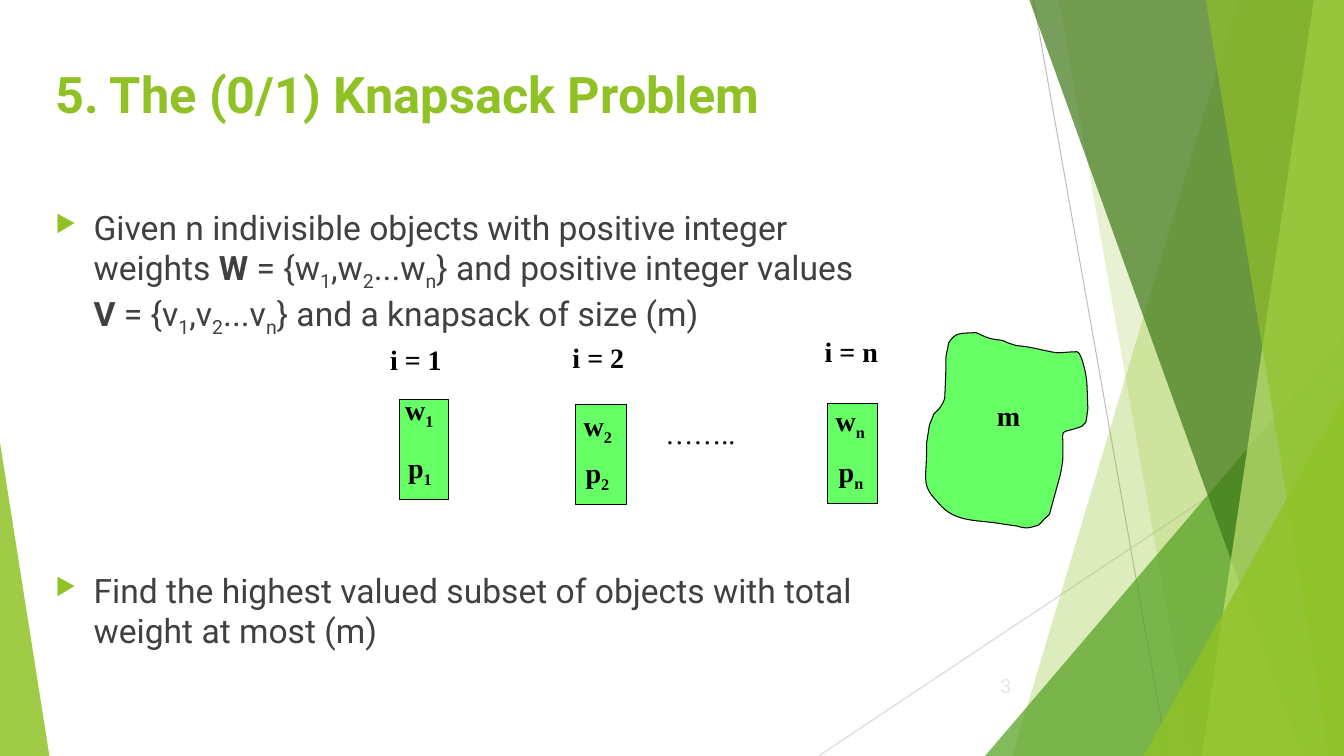
from lxml import etree
from pptx import Presentation
from pptx.dml.color import RGBColor
from pptx.enum import shapes as kinds, text as styles
from pptx.oxml import ns
from pptx.util import Inches, Pt

LIME = RGBColor(0x90, 0xC2, 0x26)
GREEN = RGBColor(0x54, 0xA0, 0x21)
DARK_GREEN = RGBColor(0x3F, 0x78, 0x19)
PALE_LIME = RGBColor(0xC0, 0xE4, 0x74)
ITEM_GREEN = RGBColor(0x66, 0xFF, 0x66)
BODY_GREY = RGBColor(0x40, 0x40, 0x40)
LINE_GREY = RGBColor(0xBF, 0xBF, 0xBF)
PALE_GREY = RGBColor(0xD9, 0xD9, 0xD9)
NUMBER_GREY = RGBColor(0xE7, 0xE7, 0xE7)
BLACK = RGBColor(0, 0, 0)
WIDTH, HEIGHT = 13.33, 7.5

SACK_START = (1.36, 0.21)
SACK_CURVES = [
    (1.23, 0.19, 1.11, 0.15, 0.97, 0.14), (0.92, 0.13, 0.87, 0.11, 0.83, 0.09),
    (0.79, 0.08, 0.75, 0.08, 0.71, 0.07), (0.66, 0.06, 0.61, 0.03, 0.56, 0.01),
    (0.41, 0.02, 0.36, 0, 0.29, 0.11), (0.24, 0.38, 0.28, 0.05, 0.25, 0.66),
    (0.24, 0.7, 0.22, 0.73, 0.2, 0.76), (0.18, 0.78, 0.14, 0.82, 0.14, 0.82),
    (0.13, 0.85, 0.12, 0.88, 0.1, 0.92), (0.09, 0.98, 0.08, 1.05, 0.07, 1.11),
    (0.08, 1.45, 0, 1.51, 0.18, 1.69), (0.24, 1.76, 0.27, 1.79, 0.36, 1.83),
    (0.48, 1.88, 0.63, 1.88, 0.77, 1.9), (0.83, 1.91, 0.97, 1.93, 0.97, 1.93),
    (1.04, 1.95, 1.06, 1.96, 1.18, 1.92), (1.21, 1.9, 1.23, 1.86, 1.26, 1.84),
    (1.27, 1.83, 1.29, 1.81, 1.29, 1.81), (1.32, 1.7, 1.35, 1.59, 1.38, 1.48),
    (1.4, 1.42, 1.41, 1.35, 1.42, 1.29), (1.44, 0.9, 1.35, 1.04, 1.61, 0.94),
    (1.62, 0.93, 1.64, 0.91, 1.65, 0.9), (1.66, 0.85, 1.67, 0.76, 1.67, 0.76),
    (1.66, 0.59, 1.67, 0.51, 1.64, 0.38), (1.63, 0.35, 1.6, 0.2, 1.56, 0.2),
    (1.49, 0.2, 1.43, 0.21, 1.36, 0.21),
]


def paint(shape, fill, opacity=100, outlined=False):
    shape.shadow.inherit = False
    shape.fill.solid()
    shape.fill.fore_color.rgb = fill
    if opacity < 100:
        color = shape._element.spPr.find(".//" + ns.qn("a:srgbClr"))
        etree.SubElement(color, ns.qn("a:alpha"), val=str(opacity * 1000))
    if outlined:
        shape.line.color.rgb = BLACK
        shape.line.width = Pt(0.75)
    else:
        shape.line.fill.background()


def add_outline(slide, points):
    corners = [(Inches(x), Inches(y)) for x, y in points]
    builder = slide.shapes.build_freeform(*corners[0])
    builder.add_line_segments(corners[1:], close=True)
    return builder.convert_to_shape()


def add_bullet(paragraph, color):
    props = paragraph._p.get_or_add_pPr()
    props.set("marL", str(Inches(0.38)))
    props.set("indent", str(-Inches(0.38)))
    bullet_color = etree.SubElement(props, ns.qn("a:buClr"))
    etree.SubElement(bullet_color, ns.qn("a:srgbClr"), val=str(color))
    etree.SubElement(props, ns.qn("a:buSzPct"), val="70000")
    etree.SubElement(props, ns.qn("a:buChar"), char="▶")


def add_text(slide, box, *paragraphs, size=20, font="Times New Roman", color=BLACK,
             bold=True, wrap=False, bullet=None, gaps=(0,), align=None):
    frame = slide.shapes.add_textbox(*map(Inches, box)).text_frame
    frame.word_wrap = wrap
    if not wrap:
        frame.auto_size = styles.MSO_AUTO_SIZE.SHAPE_TO_FIT_TEXT
    for index, content in enumerate(paragraphs):
        paragraph = frame.add_paragraph() if index else frame.paragraphs[0]
        paragraph.alignment = align
        paragraph.space_before = Pt(gaps[index])
        if bullet is not None:
            add_bullet(paragraph, bullet)
        for piece in content.split("|"):
            run = paragraph.add_run()
            run.text = piece.lstrip("_*")
            run.font.size = Pt(size)
            run.font.name = font
            run.font.color.rgb = color
            run.font.bold = bold or piece.startswith("*")
            if piece.startswith("_"):
                run._r.get_or_add_rPr().set("baseline", "-25000")


def add_backdrop(slide, box):
    left, top, width, height = box
    right, bottom = left + width, top + height

    def ray(start, end, color):
        line = slide.shapes.add_connector(
            kinds.MSO_CONNECTOR.STRAIGHT, *map(Inches, start + end))
        line.line.color.rgb = color
        line.line.width = Pt(0.75)
        etree.SubElement(line._element.spPr, ns.qn("a:effectLst"))

    def facet(upper, lower, color, opacity):
        points = [(left + upper, top), (right, top), (right, bottom), (left + lower, bottom)]
        paint(add_outline(slide, points), color, opacity)

    def wedge(x, y, across, lean, color, opacity):
        shape = slide.shapes.add_shape(
            kinds.MSO_SHAPE.ISOSCELES_TRIANGLE,
            *map(Inches, (x, y, across, bottom - y)))
        shape.adjustments[0] = lean
        paint(shape, color, opacity)

    ray((left + 10.25, top), (left + 11.58, bottom), LINE_GREY)
    ray((right, top + 4.03), (left + 8.12, bottom), PALE_GREY)
    facet(12.28, 10.04, LIME, 30)
    facet(10.5, 11.83, LIME, 20)
    wedge(right - 3.56, top + 3.33, 3.56, 1, GREEN, 72)
    facet(10.21, 12.91, DARK_GREEN, 70)
    facet(13.03, 11.92, PALE_LIME, 70)
    facet(11.96, 13.18, LIME, 65)
    wedge(right - 1.99, top + 3.93, 1.99, 1, LIME, 80)
    wedge(left, top + 4.39, 0.49, 0, LIME, 85)


def add_item(slide, box, index, caption, weight, profit):
    left, top, width, height = box
    rectangle = slide.shapes.add_shape(kinds.MSO_SHAPE.RECTANGLE, *map(Inches, box))
    paint(rectangle, ITEM_GREEN, outlined=True)
    labels = [(f"i = {index}", caption, 0.76), (f"w|_{index}", weight, 0.52),
              (f"p|_{index}", profit, 0.47)]
    for label, (dx, dy), across in labels:
        add_text(slide, (left + dx, top + dy, across, 0.44), label)


def add_knapsack(slide, box):
    left, top, width, height = box
    points = [SACK_START]
    for curve in SACK_CURVES:
        points += zip(curve[::2], curve[1::2])
    sack = add_outline(slide, [(left + x, top + y) for x, y in points])
    lines = list(sack._element.iter(ns.qn("a:lnTo")))
    for first in range(0, 3 * len(SACK_CURVES), 3):
        bend = etree.Element(ns.qn("a:cubicBezTo"))
        lines[first].addprevious(bend)
        for line in lines[first:first + 3]:
            bend.append(line[0])
            line.getparent().remove(line)
    paint(sack, ITEM_GREEN, outlined=True)
    add_text(slide, (left + 0.67, top + 0.61, 0.43, 0.43), "m")


def add_problem(slide, box):
    left, top, width, height = box
    add_text(slide, (left, top, width, 1.25), "5. The (0/1) Knapsack Problem",
             size=36, font="Roboto", color=LIME, wrap=True)
    add_text(slide, (left, top + 1.42, width, 4.5),
             "Given n indivisible objects with positive integer weights |*W| = {w|_1|,w|_2|...w|_n|} "
             "and positive integer values |*V| = {v|_1|,v|_2|...v|_n|} and a knapsack of size (m)",
             "Find the highest valued subset of objects with total weight at most (m)",
             size=24, font="Roboto", color=BODY_GREY, bold=False, wrap=True,
             bullet=LIME, gaps=(10, 165))


def main():
    deck = Presentation()
    deck.slide_width, deck.slide_height = Inches(WIDTH), Inches(HEIGHT)
    slide = deck.slides.add_slide(deck.slide_layouts[6])
    add_backdrop(slide, (0, 0, WIDTH, HEIGHT))
    add_problem(slide, (0.45, 0.58, 8.25, 5.92))
    add_item(slide, (3.96, 3.96, 0.49, 1), "1", (-0.19, -0.61), (-0.04, -0.12), (-0.01, 0.46))
    add_item(slide, (5.71, 4.01, 0.5, 1), "2", (-0.13, -0.68), (-0.02, -0.01), (0, 0.46))
    add_item(slide, (8.21, 4, 0.49, 1), "n", (-0.13, -0.73), (-0.02, -0.05), (0.01, 0.46))
    add_text(slide, (6.5, 4.08, 0.9, 0.43), "……..", bold=False)
    add_knapsack(slide, (9.12, 3.29, 1.67, 1.96))
    add_text(slide, (9.45, 6.64, 0.68, 0.4), "3", size=14, font="Roboto",
             color=NUMBER_GREY, bold=False, wrap=True, align=styles.PP_ALIGN.RIGHT)
    deck.save("out.pptx")


if __name__ == "__main__":
    main()
